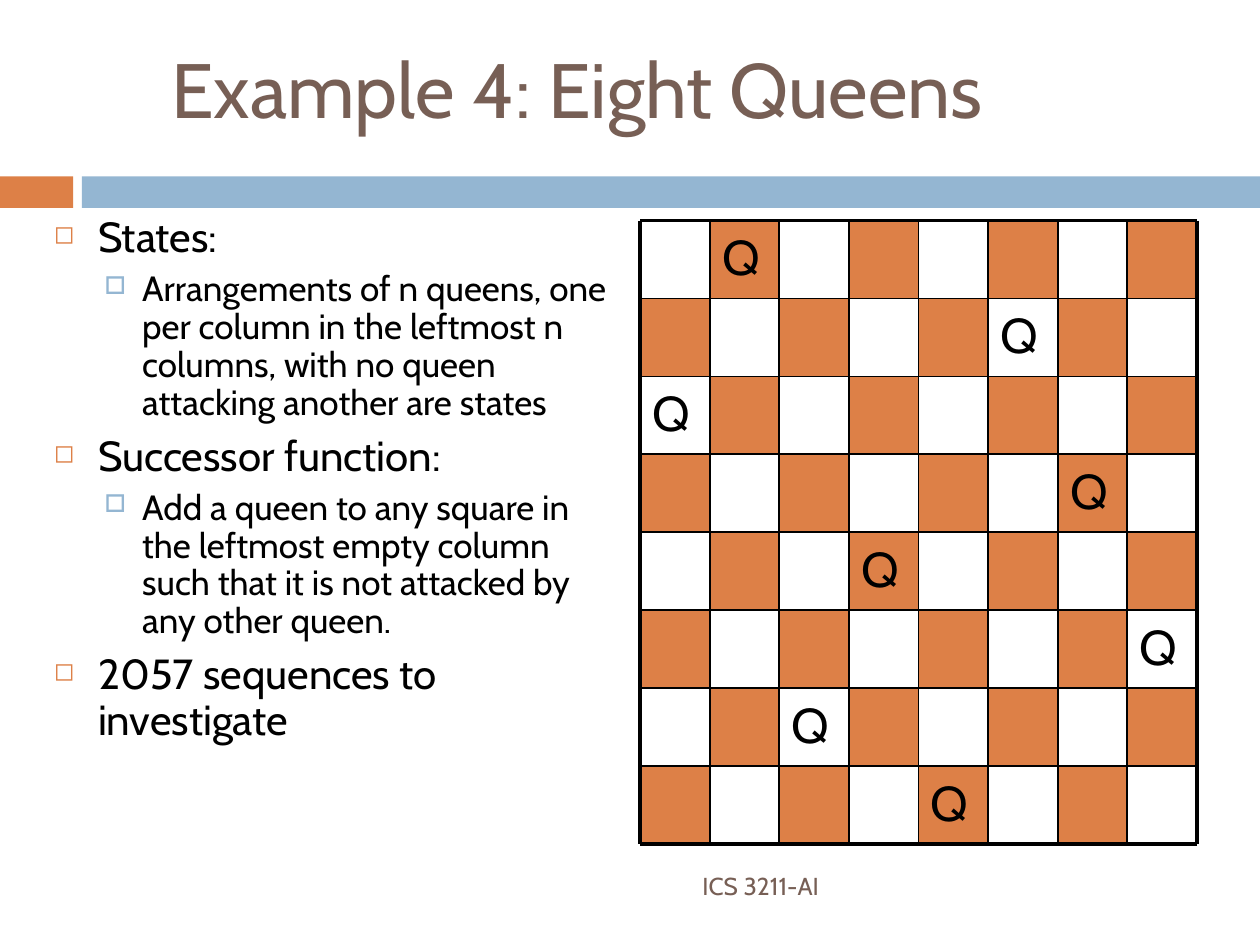
from dataclasses import dataclass

from lxml import etree
from pptx import Presentation
from pptx import util as u
from pptx.dml.color import RGBColor
from pptx.enum import shapes, text
from pptx.oxml import ns


@dataclass(frozen=True)
class Theme:
    font: str = "Cabin"
    brown: str = "775F55"
    orange: str = "DD8047"
    blue: str = "94B6D2"
    black: str = "000000"
    title_size: float = 44
    queen_size: float = 28
    footer_size: float = 14
    thin: float = 1
    thick: float = 2.25


@dataclass(frozen=True)
class Level:
    size: float
    margin: float
    hang: float
    before: float
    bullet: str
    color: str
    percent: int


THEME = Theme()
LEVELS = (
    Level(24, 0.35, 0.35, 7, "◻", THEME.orange, 60),
    Level(20, 0.7, 0.3, 5.5, "□", THEME.blue, 70),
)
POINTS = (
    (0, "States:"),
    (1, "Arrangements of n queens, one per column in the leftmost n columns, "
        "with no queen attacking another are states"),
    (0, "Successor function:"),
    (1, "Add a queen to any square in the leftmost empty column such that "
        "it is not attacked by any other queen."),
    (0, "2057 sequences to investigate"),
)
SQUARES = 8
QUEEN_COLUMNS = (1, 5, 0, 6, 3, 7, 2, 4)  # one for each row, from the top


def inches(*lengths):
    return [u.Inches(length) for length in lengths]


def style(para, size, color, align=text.PP_ALIGN.LEFT):
    para.alignment = align
    para.font.name = THEME.font
    para.font.size = u.Pt(size)
    para.font.color.rgb = RGBColor.from_string(color)


def add_block(parent, box, color):
    block = parent.add_shape(shapes.MSO_SHAPE.RECTANGLE, *inches(*box))
    block.shadow.inherit = False
    block.fill.solid()
    block.fill.fore_color.rgb = RGBColor.from_string(color)
    block.line.fill.background()
    return block


def add_line(parent, start, end, width):
    line = parent.add_connector(shapes.MSO_CONNECTOR.STRAIGHT, *inches(*start, *end))
    line.line.color.rgb = RGBColor.from_string(THEME.black)
    line.line.width = u.Pt(width)
    etree.SubElement(line._element.spPr, ns.qn("a:effectLst"))


def set_title(page, box, words):
    title = page.shapes.title
    title.left, title.top, title.width, title.height = inches(*box)
    frame = title.text_frame
    frame.text = words
    frame.auto_size = text.MSO_AUTO_SIZE.NONE
    frame.vertical_anchor = text.MSO_ANCHOR.MIDDLE
    style(frame.paragraphs[0], THEME.title_size, THEME.brown)


def add_band(page, box):
    left, top, width, height = box
    tab, gap = 0.58, 0.07
    add_block(page.shapes, (left, top, tab, height), THEME.orange)
    add_block(page.shapes, (left + tab + gap, top, width - tab - gap, height), THEME.blue)


def set_bullet(para, level):
    props = para._p.get_or_add_pPr()
    props.set("marL", str(u.Inches(level.margin)))
    props.set("indent", str(-u.Inches(level.hang)))
    color = etree.SubElement(props, ns.qn("a:buClr"))
    etree.SubElement(color, ns.qn("a:srgbClr"), val=level.color)
    etree.SubElement(props, ns.qn("a:buSzPct"), val=str(level.percent * 1000))
    etree.SubElement(props, ns.qn("a:buChar"), char=level.bullet)


def add_points(page, box):
    frame = page.shapes.add_textbox(*inches(*box)).text_frame
    frame.word_wrap = True
    for index, (depth, words) in enumerate(POINTS):
        para = frame.add_paragraph() if index else frame.paragraphs[0]
        level = LEVELS[depth]
        para.text = words
        para.level = depth
        para.line_spacing = 0.9
        para.space_before = u.Pt(level.before)
        style(para, level.size, THEME.black)
        set_bullet(para, level)


def add_queen(square):
    frame = square.text_frame
    frame.text = "Q"
    frame.vertical_anchor = text.MSO_ANCHOR.TOP
    style(frame.paragraphs[0], THEME.queen_size, THEME.black)


def add_board(page, box):
    left, top, width, height = box
    board = page.shapes.add_group_shape().shapes
    across, down = width / SQUARES, height / SQUARES
    for row, queen_column in enumerate(QUEEN_COLUMNS):
        for column in range(SQUARES):
            cell = (left + column * across, top + row * down, across, down)
            square = None
            if (row + column) % 2:
                square = add_block(board, cell, THEME.orange)
            elif column == queen_column:
                square = board.add_textbox(*inches(*cell))
                square.text_frame.word_wrap = True
            if column == queen_column:
                add_queen(square)
    for step in range(SQUARES + 1):
        weight = THEME.thick if step in (0, SQUARES) else THEME.thin
        x, y = left + step * across, top + step * down
        add_line(board, (left, y), (left + width, y), weight)
        add_line(board, (x, top), (x, top + height), weight)


def add_footer(page, box, words):
    frame = page.shapes.add_textbox(*inches(*box)).text_frame
    frame.word_wrap = True
    frame.vertical_anchor = text.MSO_ANCHOR.MIDDLE
    frame.text = words
    style(frame.paragraphs[0], THEME.footer_size, THEME.brown, text.PP_ALIGN.RIGHT)


def main():
    deck = Presentation()
    deck.slide_width, deck.slide_height = inches(10, 7.5)
    page = deck.slides.add_slide(deck.slide_layouts.get_by_name("Title Only"))
    add_band(page, (0, 1.4, 10, 0.25))
    set_title(page, (1.26, 0.23, 8.52, 0.93), "Example 4: Eight Queens")
    add_points(page, (0.33, 1.67, 4.65, 5.04))
    add_board(page, (5.08, 1.75, 4.42, 4.95))
    add_footer(page, (0.67, 6.83, 5.93, 0.4), "ICS 3211-AI")
    deck.save("out.pptx")


if __name__ == "__main__":
    main()
